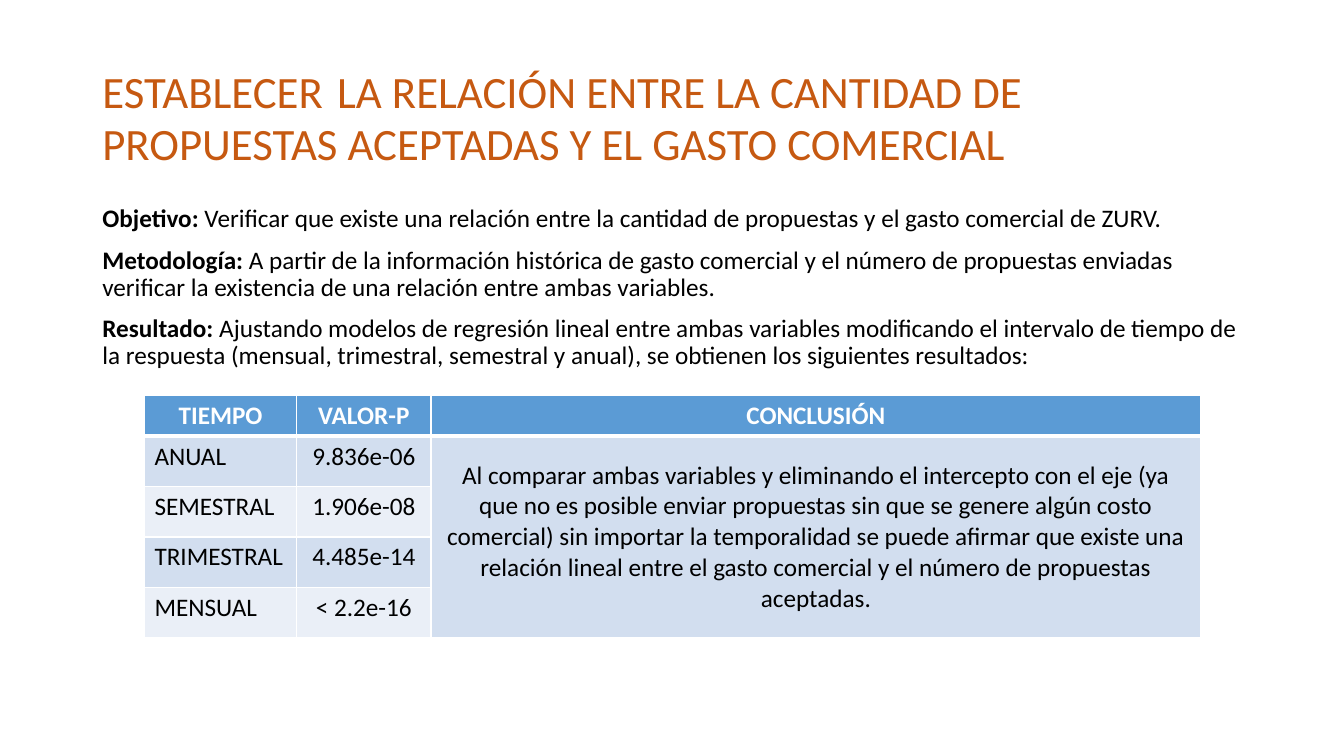
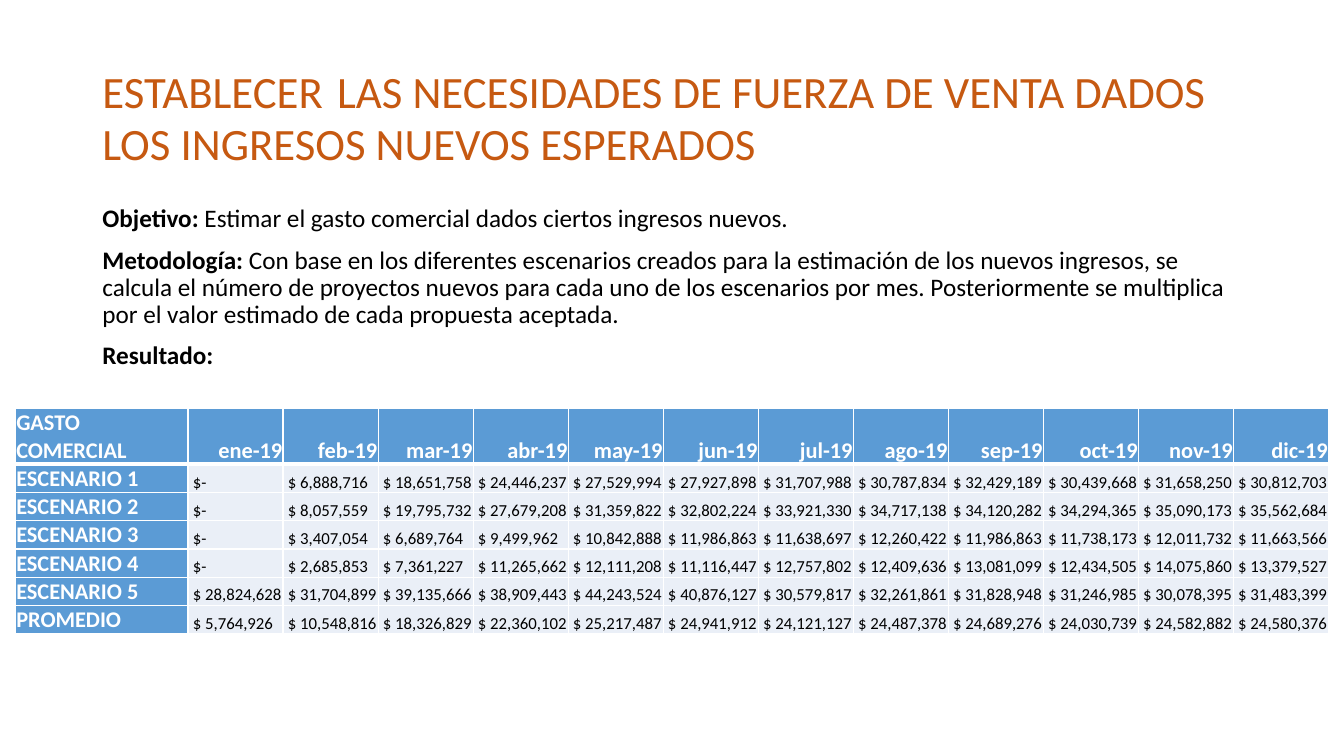
from collections import namedtuple

from lxml.etree import SubElement
from pptx import Presentation
from pptx.dml.color import RGBColor
from pptx.enum.text import MSO_ANCHOR as Anchor, PP_ALIGN as Align
from pptx.oxml.ns import qn
from pptx.util import Cm, Pt

Box = namedtuple("Box", "left top width height")

FONT = "Calibri"
ORANGE, BLACK, WHITE = "C65911", "000000", "FFFFFF"
HEADER_BLUE, BAND_DARK, BAND_LIGHT = "5B9BD5", "D2DEEF", "EAEFF7"

TITLE_BOX = Box(2.33, 1.01, 29.21, 3.68)
BODY_BOX = Box(2.33, 5.07, 29.21, 12.09)

TITLE_TEXT = {"size": Pt(32), "color": ORANGE}
TITLE_GAP = {"size": Pt(44), "color": BLACK}
BODY_TEXT = {"size": Pt(18), "color": BLACK}
BODY_LABEL = {**BODY_TEXT, "bold": True}
HEADER_TEXT = {"size": Pt(18), "color": WHITE, "bold": True}
MONTH_TEXT = {**HEADER_TEXT, "size": Pt(16)}
AMOUNT_TEXT = {"size": Pt(12), "color": BLACK}

TIGHT_CELL = {
    "vertical_anchor": Anchor.BOTTOM,
    "margin_left": Cm(0.02),
    "margin_top": Cm(0.02),
    "margin_right": Cm(0.02),
    "margin_bottom": 0,
}
AMOUNT_CELL = {**TIGHT_CELL, "margin_left": Cm(0.12)}


def hex_color(value):
    return RGBColor.from_string(value)


def set_attributes(target, values):
    for name, value in values.items():
        setattr(target, name, value)


def add_run(paragraph, text, style):
    run = paragraph.add_run()
    run.text = text
    values = {"name": FONT, "bold": False, **style}
    run.font.color.rgb = hex_color(values.pop("color"))
    set_attributes(run.font, values)


def add_text_frame(slide, box, anchor):
    frame = slide.shapes.add_textbox(*map(Cm, box)).text_frame
    set_attributes(frame, {"word_wrap": True, "vertical_anchor": anchor})
    return frame


def add_title(slide, box, text):
    paragraph = add_text_frame(slide, box, Anchor.MIDDLE).paragraphs[0]
    paragraph.line_spacing = 0.9
    for part, style in (
        ("ESTABLECER", TITLE_TEXT),
        (" ", TITLE_GAP),
        (text, TITLE_TEXT),
    ):
        add_run(paragraph, part, style)


def add_body(slide, box, entries):
    frame = add_text_frame(slide, box, Anchor.TOP)
    for index, (label, text) in enumerate(entries):
        paragraph = frame.add_paragraph() if index else frame.paragraphs[0]
        paragraph.line_spacing = 0.9
        paragraph.space_before = Pt(10 if index else 0)
        add_run(paragraph, f"{label}:", BODY_LABEL)
        if text:
            add_run(paragraph, f" {text}", BODY_TEXT)


def add_borders(cell, row):
    properties = cell._tc.get_or_add_tcPr()
    widths = {"lnL": 1, "lnR": 1, "lnT": 3 if row == 1 else 1, "lnB": 1 if row else 3}
    for side, points in widths.items():
        line = SubElement(properties, qn(f"a:{side}"), w=str(Pt(points)))
        fill = SubElement(line, qn("a:solidFill"))
        SubElement(fill, qn("a:srgbClr"), val=WHITE)


def add_table(slide, box, widths, heights):
    shape = slide.shapes.add_table(len(heights), len(widths), *map(Cm, box))
    table = shape.table
    set_attributes(table, {"first_row": False, "horz_banding": False})
    for column, width in zip(table.columns, widths):
        column.width = Cm(width)
    for row, height in zip(table.rows, heights):
        row.height = Cm(height)
    return table


def fill_cell(table, row, column, text, style, fill, align=Align.LEFT, layout={}):
    cell = table.cell(row, column)
    add_borders(cell, row)
    cell.fill.solid()
    cell.fill.fore_color.rgb = hex_color(fill)
    set_attributes(cell, layout)
    paragraph = cell.text_frame.paragraphs[0]
    paragraph.alignment = align
    if text:
        add_run(paragraph, text, style)


def add_regression_table(slide, box, headings, results, conclusion):
    widths = [3.84, 3.38, box.width - 7.22]
    header_height = 1.03
    row_height = (box.height - header_height) / len(results)
    table = add_table(slide, box, widths, [header_height] + [row_height] * len(results))
    for column, heading in enumerate(headings):
        fill_cell(table, 0, column, heading, HEADER_TEXT, HEADER_BLUE, Align.CENTER)
    for row, (period, p_value) in enumerate(results, 1):
        band = BAND_DARK if row % 2 else BAND_LIGHT
        fill_cell(table, row, 0, period, BODY_TEXT, band)
        fill_cell(table, row, 1, p_value, BODY_TEXT, band, Align.CENTER)
        fill_cell(table, row, 2, conclusion if row == 1 else "", BODY_TEXT, BAND_DARK,
                  Align.CENTER, {"vertical_anchor": Anchor.MIDDLE})
    table.cell(1, 2).merge(table.cell(len(results), 2))


def add_expense_table(slide, box, corner, months, scenarios):
    label_width, header_height = 4.35, 1.41
    month_width = (box.width - label_width) / len(months)
    row_height = (box.height - header_height) / len(scenarios)
    table = add_table(
        slide,
        box,
        [label_width] + [month_width] * len(months),
        [header_height] + [row_height] * len(scenarios),
    )
    fill_cell(table, 0, 0, corner, MONTH_TEXT, HEADER_BLUE, layout=TIGHT_CELL)
    for column, month in enumerate(months, 1):
        fill_cell(table, 0, column, f"{month}-19", MONTH_TEXT, HEADER_BLUE,
                  Align.RIGHT, TIGHT_CELL)
    for row, (name, amounts) in enumerate(scenarios.items(), 1):
        fill_cell(table, row, 0, name, MONTH_TEXT, HEADER_BLUE, layout=TIGHT_CELL)
        for column, amount in enumerate(amounts, 1):
            text = f"$ {amount:,}" if amount else "$-"
            fill_cell(table, row, column, text, AMOUNT_TEXT, BAND_LIGHT,
                      layout=AMOUNT_CELL)


def add_content_slide(presentation, title, entries):
    slide = presentation.slides.add_slide(presentation.slide_layouts[6])
    add_title(slide, TITLE_BOX, title)
    add_body(slide, BODY_BOX, entries)
    return slide


def build_relation_slide(presentation):
    slide = add_content_slide(
        presentation,
        "LA RELACIÓN ENTRE LA CANTIDAD DE PROPUESTAS ACEPTADAS Y EL GASTO COMERCIAL",
        [
            ("Objetivo", "Verificar que existe una relación entre la cantidad de "
             "propuestas y el gasto comercial de ZURV."),
            ("Metodología", "A partir de la información histórica de gasto comercial y "
             "el número de propuestas enviadas verificar la existencia de una relación "
             "entre ambas variables."),
            ("Resultado", "Ajustando modelos de regresión lineal entre ambas variables "
             "modificando el intervalo de tiempo de la respuesta (mensual, trimestral, "
             "semestral y anual), se obtienen los siguientes resultados:"),
        ],
    )
    add_regression_table(
        slide,
        Box(3.64, 9.96, 26.62, 6.11),
        ["TIEMPO", "VALOR-P", "CONCLUSIÓN"],
        [
            ("ANUAL", "9.836e-06"),
            ("SEMESTRAL", "1.906e-08"),
            ("TRIMESTRAL", "4.485e-14"),
            ("MENSUAL", "< 2.2e-16"),
        ],
        "Al comparar ambas variables y eliminando el intercepto con el eje (ya que no "
        "es posible enviar propuestas sin que se genere algún costo comercial) sin "
        "importar la temporalidad se puede afirmar que existe una relación lineal entre "
        "el gasto comercial y el número de propuestas aceptadas.",
    )


def build_sales_force_slide(presentation):
    slide = add_content_slide(
        presentation,
        "LAS NECESIDADES DE FUERZA DE VENTA DADOS LOS INGRESOS NUEVOS ESPERADOS",
        [
            ("Objetivo", "Estimar el gasto comercial dados ciertos ingresos nuevos."),
            ("Metodología", "Con base en los diferentes escenarios creados para la "
             "estimación de los nuevos ingresos, se calcula el número de proyectos "
             "nuevos para cada uno de los escenarios por mes. Posteriormente se "
             "multiplica por el valor estimado de cada propuesta aceptada."),
            ("Resultado", ""),
        ],
    )
    add_expense_table(
        slide,
        Box(0.39, 10.29, 33.1, 5.68),
        "GASTO COMERCIAL",
        "ene feb mar abr may jun jul ago sep oct nov dic".split(),
        {
            "ESCENARIO 1": [0, 6888716, 18651758, 24446237, 27529994, 27927898,
                            31707988, 30787834, 32429189, 30439668, 31658250, 30812703],
            "ESCENARIO 2": [0, 8057559, 19795732, 27679208, 31359822, 32802224,
                            33921330, 34717138, 34120282, 34294365, 35090173, 35562684],
            "ESCENARIO 3": [0, 3407054, 6689764, 9499962, 10842888, 11986863,
                            11638697, 12260422, 11986863, 11738173, 12011732, 11663566],
            "ESCENARIO 4": [0, 2685853, 7361227, 11265662, 12111208, 11116447,
                            12757802, 12409636, 13081099, 12434505, 14075860, 13379527],
            "ESCENARIO 5": [28824628, 31704899, 39135666, 38909443, 44243524, 40876127,
                            30579817, 32261861, 31828948, 31246985, 30078395, 31483399],
            "PROMEDIO": [5764926, 10548816, 18326829, 22360102, 25217487, 24941912,
                         24121127, 24487378, 24689276, 24030739, 24582882, 24580376],
        },
    )


def main():
    presentation = Presentation()
    set_attributes(presentation, {"slide_width": Cm(33.87), "slide_height": Cm(19.05)})
    build_relation_slide(presentation)
    build_sales_force_slide(presentation)
    presentation.save("out.pptx")


if __name__ == "__main__":
    main()
